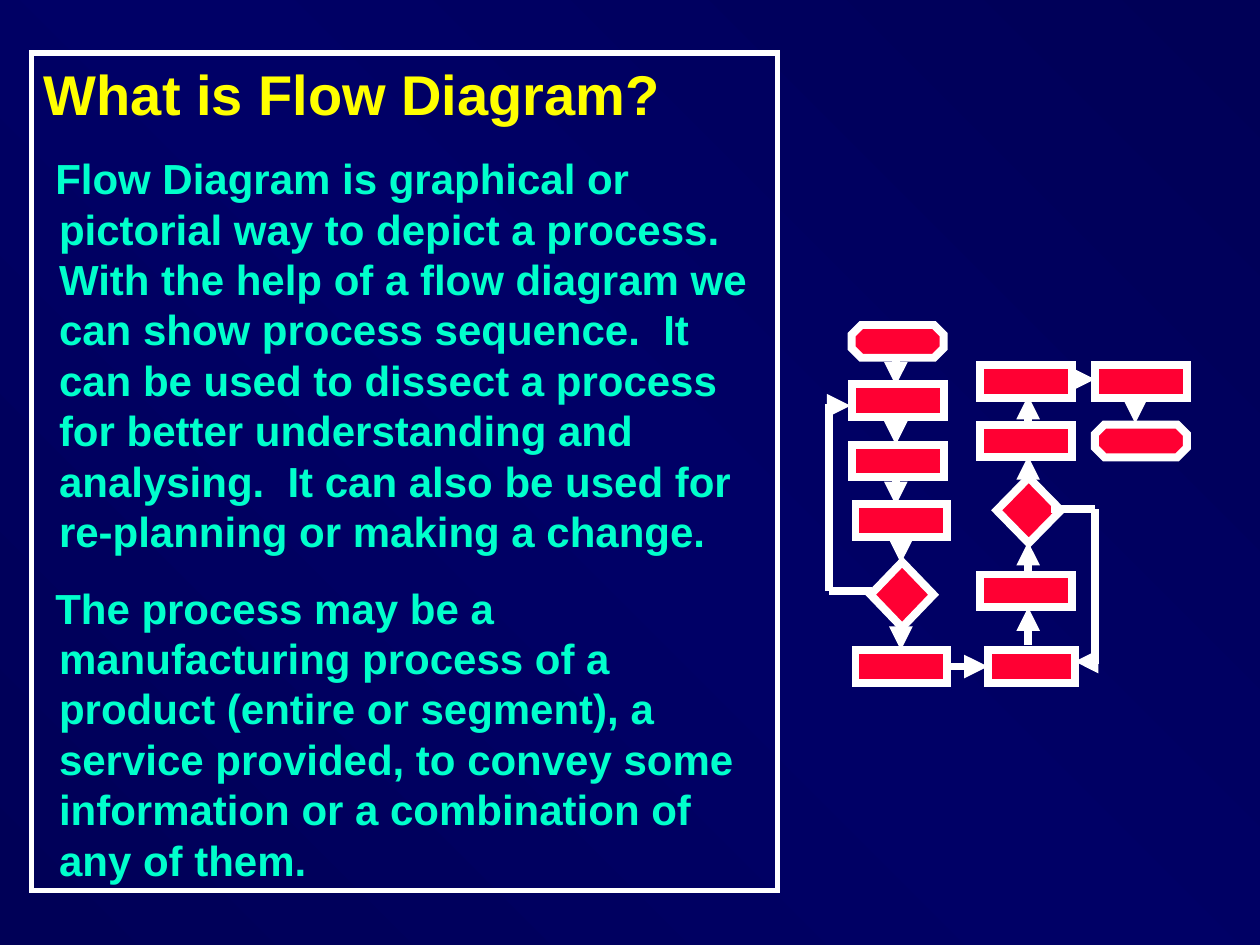
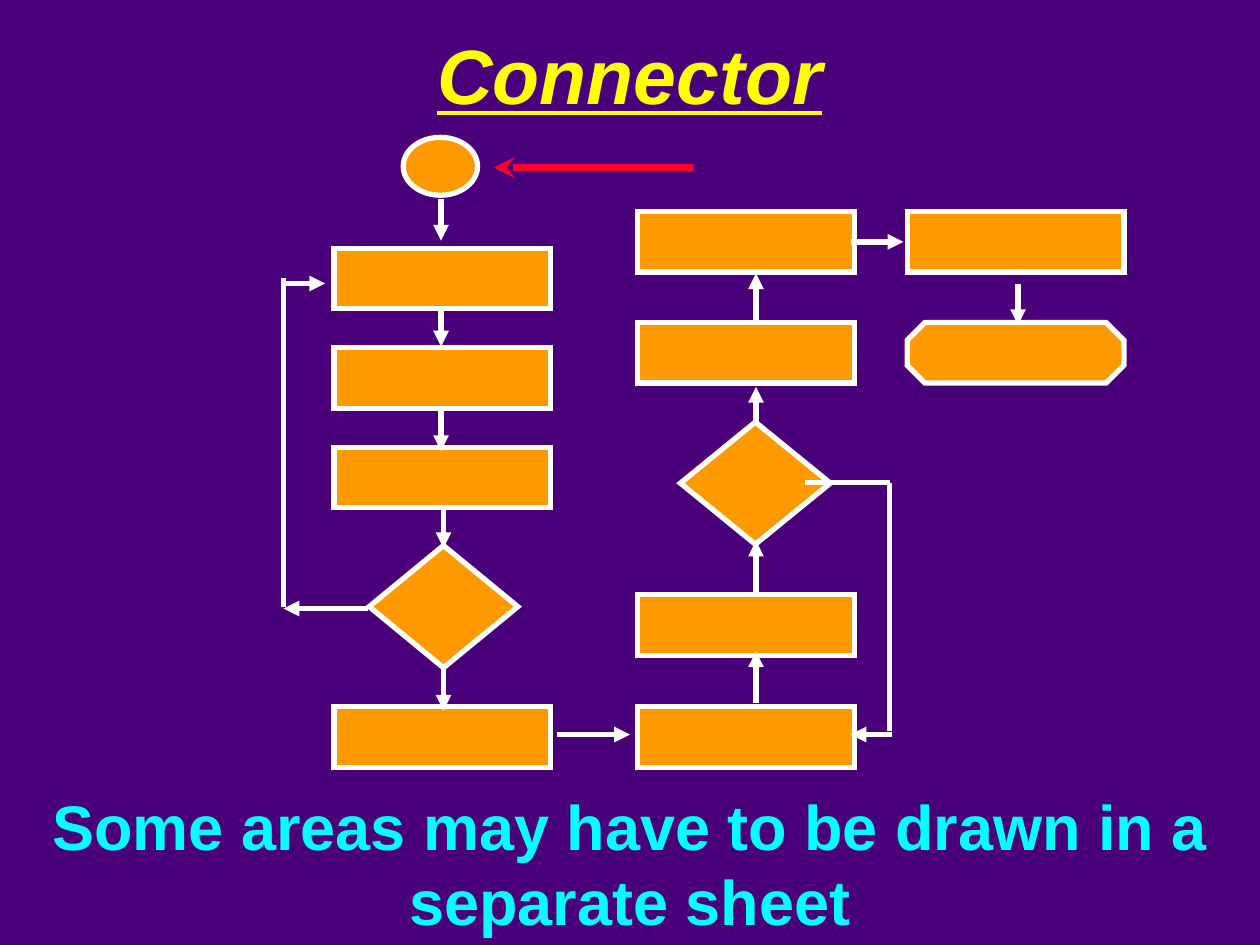
"""Build two slides on flow diagrams: a definition and the connector symbol."""
import dataclasses

import pptx
import pptx.dml.color
import pptx.enum.shapes
import pptx.enum.text
import pptx.oxml.ns
import pptx.util
from lxml import etree

EMU_PER_PX = 9144
PAGE_SIZE = (1000, 750)
RECT = pptx.enum.shapes.MSO_SHAPE.RECTANGLE
OCTAGON = pptx.enum.shapes.MSO_SHAPE.OCTAGON
DIAMOND = pptx.enum.shapes.MSO_SHAPE.DIAMOND
OVAL = pptx.enum.shapes.MSO_SHAPE.OVAL
LEFT = pptx.enum.text.PP_ALIGN.LEFT
CENTER = pptx.enum.text.PP_ALIGN.CENTER


@dataclasses.dataclass(frozen=True)
class Theme:
    font: str = "Arial"
    navy_edge: str = "000057"
    navy_middle: str = "000066"
    purple: str = "49007A"
    white: str = "FFFFFF"
    yellow: str = "FFFF00"
    mint: str = "00FFCC"
    cyan: str = "00FFFF"
    red: str = "FF0033"
    orange: str = "FF9900"
    heading_size: int = 32
    body_size: int = 24
    title_size: int = 44
    caption_size: int = 36
    leading: float = 1.2
    thin_line: float = 3
    pointer_line: float = 4
    thick_line: float = 4.5


THEME = Theme()

DEFINITION = (
    "Flow Diagram is graphical or pictorial way to depict a process.  "
    "With the help of a flow diagram we can show process sequence.  "
    "It can be used to dissect a process for better understanding and analysing.  "
    "It can also be used for re-planning or making a change."
)
SCOPE = (
    "The process may be a manufacturing process of a product (entire or segment), "
    "a service provided, to convey some information or a combination of any of them."
)


def px(length):
    return pptx.util.Emu(int(length * EMU_PER_PX))


def rgb(color):
    return pptx.dml.color.RGBColor.from_string(color)


def tag(name):
    return pptx.oxml.ns.qn(name)


def add_page(deck):
    return deck.slides.add_slide(deck.slide_layouts[6])


def set_gradient(page, stops, angle):
    page.background.fill.gradient()
    gradient = page.element.find(".//" + tag("a:gradFill"))
    stop_list = gradient.find(tag("a:gsLst"))
    for old_stop in list(stop_list):
        stop_list.remove(old_stop)
    for percent, color in stops:
        stop = etree.SubElement(stop_list, tag("a:gs"), pos=str(percent * 1000))
        etree.SubElement(stop, tag("a:srgbClr"), val=color)
    gradient.find(tag("a:lin")).set("ang", str(angle * 60000))


def add_box(shapes, kind, place, fill, width):
    box = shapes.add_shape(kind, *map(px, place))
    box.shadow.inherit = False
    if fill:
        box.fill.solid()
        box.fill.fore_color.rgb = rgb(fill)
    else:
        box.fill.background()
    box.line.color.rgb = rgb(THEME.white)
    box.line.width = pptx.util.Pt(width)
    outline = box.element.spPr.find(tag("a:ln"))
    etree.SubElement(outline, tag("a:miter"), lim="800000")
    return box


def add_line(shapes, points, color, width, end=None, arrow="triangle"):
    straight = pptx.enum.shapes.MSO_CONNECTOR.STRAIGHT
    line = shapes.add_connector(straight, *map(px, points))
    line.line.color.rgb = rgb(color)
    line.line.width = pptx.util.Pt(width)
    properties = line.element.spPr
    if end:
        etree.SubElement(properties.find(tag("a:ln")), tag(end), type=arrow)
    etree.SubElement(properties, tag("a:effectLst"))


def add_flow(page, fill, width, arrows_behind, steps, arrows, links):
    shapes = page.shapes.add_group_shape().shapes
    for points in arrows_behind:
        add_line(shapes, points, THEME.white, width, "a:tailEnd")
    for kind, *place in steps:
        add_box(shapes, kind, place, fill, width)
    for points in links:
        add_line(shapes, points, THEME.white, width)
    for points in arrows:
        add_line(shapes, points, THEME.white, width, "a:tailEnd")


def style_paragraph(para, text, size, color, align):
    para.text = text
    para.alignment = align
    para.line_spacing = pptx.util.Pt(size * THEME.leading)
    para.font.name = THEME.font
    para.font.size = pptx.util.Pt(size)
    para.font.bold = True
    para.font.color.rgb = rgb(color)


def add_banner(page, place, text, size, color):
    box = page.shapes.add_textbox(*map(px, place))
    box.text_frame.word_wrap = True
    para = box.text_frame.paragraphs[0]
    style_paragraph(para, text, size, color, CENTER)
    return para


def add_definition_panel(page):
    box = add_box(page.shapes, RECT, (25, 42, 592, 665), None, THEME.thin_line)
    frame = box.text_frame
    frame.word_wrap = True
    frame.vertical_anchor = pptx.enum.text.MSO_ANCHOR.TOP
    heading = frame.paragraphs[0]
    style_paragraph(heading, "What is Flow Diagram?", THEME.heading_size, THEME.yellow, LEFT)
    for text in (DEFINITION, SCOPE):
        para = frame.add_paragraph()
        properties = para._p.get_or_add_pPr()
        properties.set("marL", str(px(12)))
        properties.set("indent", str(px(-3)))
        style_paragraph(para, text, THEME.body_size, THEME.mint, LEFT)
        para.space_before = pptx.util.Pt(15)


def build_definition(deck):
    page = add_page(deck)
    stops = [(0, THEME.navy_edge), (50, THEME.navy_middle), (100, THEME.navy_edge)]
    set_gradient(page, stops, 135)
    size = (73, 26)
    steps = [
        (OCTAGON, 676, 258, *size),
        *((RECT, 676, top, *size) for top in (305, 353)),
        *((RECT, 679, top, *size) for top in (400, 516)),
        (DIAMOND, 691, 446, 50, 52),
        *((RECT, 778, top, *size) for top in (290, 337, 456)),
        (RECT, 784, 516, 69, 26),
        (DIAMOND, 791, 379, 51, 52),
        (RECT, 869, 290, *size),
        (OCTAGON, 869, 337, *size),
    ]
    arrows_behind = [
        (849, 301, 869, 301),
        *((816, start, 816, start - 30) for start in (344, 392, 460)),
        (747, 529, 784, 529),
    ]
    arrows = [
        *((711, start, 711, start + 22) for start in (284, 331, 379)),
        *((715, start, 715, start + 21) for start in (426, 495)),
        (658, 322, 675, 322),
        (816, 512, 816, 482),
        (901, 314, 901, 336),
        (869, 525, 853, 525),
    ]
    links = [
        (658, 469, 692, 469),
        (658, 469, 658, 321),
        (834, 404, 869, 404),
        (869, 404, 869, 527),
    ]
    add_flow(page, THEME.red, THEME.thick_line, arrows_behind, steps, arrows, links)
    add_definition_panel(page)


def build_connector(deck):
    page = add_page(deck)
    page.background.fill.solid()
    page.background.fill.fore_color.rgb = rgb(THEME.purple)
    caption = "Some areas may have to be drawn in a separate sheet"
    add_banner(page, (0, 620, 1000, 130), caption, THEME.caption_size, THEME.cyan)
    title = add_banner(page, (0, 17, 1000, 83), "Connector", THEME.title_size, THEME.yellow)
    title.font.italic = True
    title.font.underline = True
    pointer = (392, 133, 550, 133)
    add_line(page.shapes, pointer, THEME.red, THEME.pointer_line, "a:headEnd", "stealth")

    size = (172, 48)
    steps = [
        (OVAL, 320, 109, 59, 46),
        *((RECT, 265, top, *size) for top in (197, 276, 355, 561)),
        (DIAMOND, 293, 433, 118, 97),
        *((RECT, 506, top, *size) for top in (168, 256, 472, 561)),
        (DIAMOND, 540, 335, 119, 97),
        (RECT, 720, 168, *size),
        (OCTAGON, 720, 256, *size),
    ]
    arrows_behind = [
        *((600, start, 600, start - 41) for start in (258, 348)),
        (350, 242, 350, 275),
    ]
    arrows = [
        *((350, start, 350, start + 33) for start in (158, 325)),
        *((352, start, 352, start + 33) for start in (402, 531)),
        *((600, start, 600, start - 41) for start in (558, 470)),
        (442, 583, 500, 583),
        (675, 192, 717, 192),
        (808, 225, 808, 258),
        (708, 583, 675, 583),
        (292, 483, 225, 483),
        (225, 225, 258, 225),
    ]
    links = [
        (225, 482, 225, 221),
        (639, 383, 706, 383),
        (706, 383, 706, 580),
    ]
    add_flow(page, THEME.orange, THEME.thin_line, arrows_behind, steps, arrows, links)


def main():
    deck = pptx.Presentation()
    deck.slide_width, deck.slide_height = map(px, PAGE_SIZE)
    build_definition(deck)
    build_connector(deck)
    deck.save("out.pptx")


if __name__ == "__main__":
    main()
